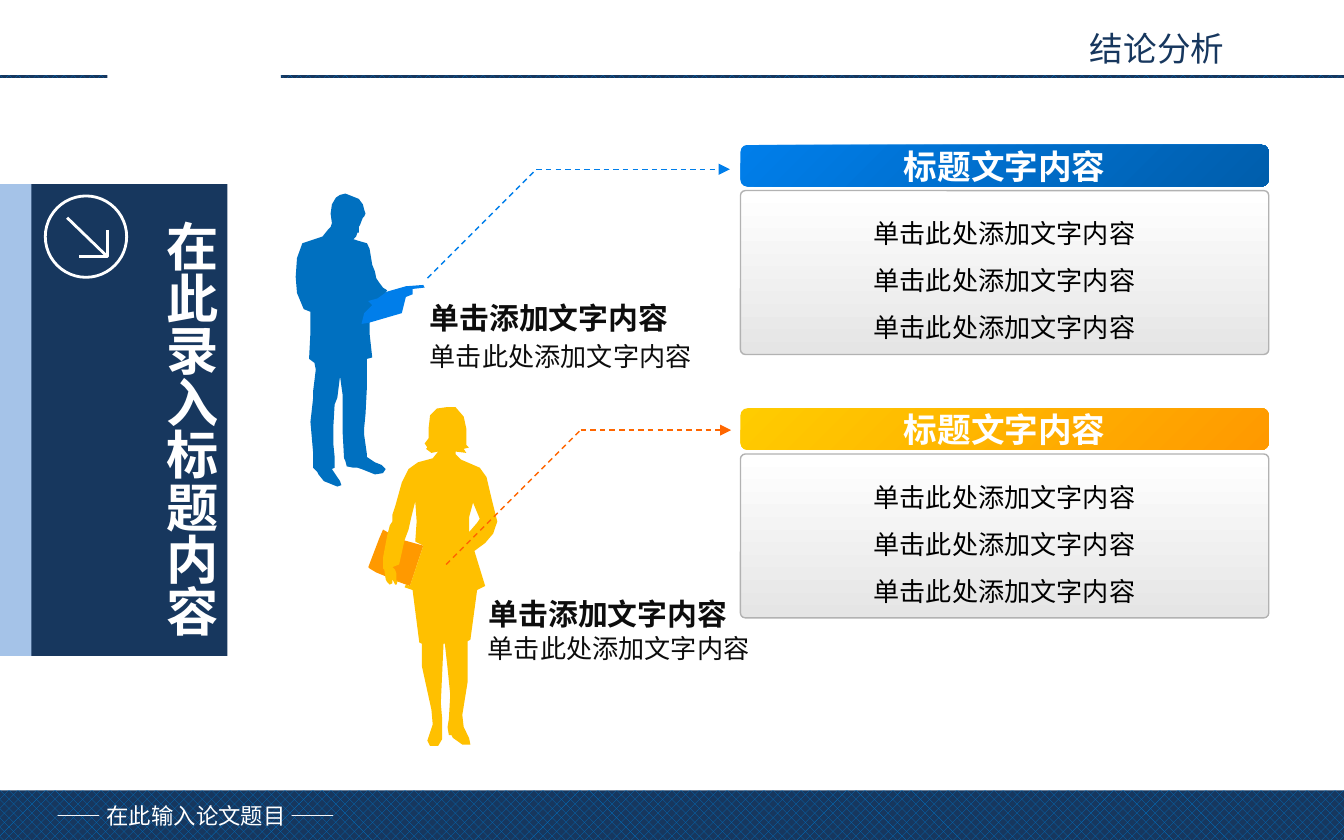
from lxml import etree
from pptx import Presentation
from pptx.dml.color import RGBColor
from pptx.enum.dml import MSO_LINE, MSO_PATTERN
from pptx.enum.shapes import MSO_CONNECTOR, MSO_SHAPE
from pptx.enum.text import PP_ALIGN
from pptx.oxml.ns import qn
from pptx.util import Pt

RECT, ROUND, OVAL = MSO_SHAPE.RECTANGLE, MSO_SHAPE.ROUNDED_RECTANGLE, MSO_SHAPE.OVAL
LEFT, CENTER = PP_ALIGN.LEFT, PP_ALIGN.CENTER
STRAIGHT, DASH, HALFTONE = MSO_CONNECTOR.STRAIGHT, MSO_LINE.DASH, MSO_PATTERN.PERCENT_50
SANS, ARIAL = "Noto Sans CJK SC", "Arial"

NAVY = RGBColor(0x17, 0x37, 0x5E)
BLUE = RGBColor(0x00, 0x70, 0xC0)
BRIGHT_BLUE = RGBColor(0x00, 0x7E, 0xEA)
DEEP_BLUE = RGBColor(0x00, 0x5E, 0xAC)
PALE_BLUE = RGBColor(0x55, 0x8E, 0xD5)
GOLD = RGBColor(0xFF, 0xC0, 0x00)
YELLOW = RGBColor(0xFF, 0xCC, 0x00)
AMBER = RGBColor(0xFF, 0x99, 0x00)
ORANGE = RGBColor(0xFF, 0x66, 0x00)
WHITE = RGBColor(0xFF, 0xFF, 0xFF)
LIGHT_GREY = RGBColor(0xE5, 0xE5, 0xE5)
GREY = RGBColor(0xB2, 0xB2, 0xB2)
INK = RGBColor(0x0D, 0x0D, 0x0D)
BLACK = RGBColor(0x00, 0x00, 0x00)

# Outlines are drawn on a grid of 0.72 pt.
GRID = Pt(0.72)
MAN = [
    (247, 152), (246, 159), (247, 166), (246, 169), (244, 171), (240, 176), (237, 177),
    (225, 181), (221, 192), (220, 206), (221, 218), (226, 230), (231, 232), (231, 247),
    (230, 267), (234, 270), (235, 275), (233, 291), (233, 296), (231, 314), (233, 337),
    (233, 348), (236, 351), (237, 353), (241, 358), (251, 362), (254, 361), (253, 358),
    (249, 352), (247, 349), (249, 348), (249, 340), (248, 330), (248, 318), (249, 301),
    (251, 296), (253, 280), (255, 294), (255, 301), (255, 322), (256, 341), (257, 343),
    (258, 347), (263, 348), (266, 348), (269, 349), (279, 353), (285, 352), (287, 349),
    (284, 346), (279, 344), (273, 340), (273, 338), (271, 324), (271, 318), (272, 308),
    (273, 288), (273, 267), (277, 266), (275, 248), (275, 240), (288, 216), (285, 214),
    (282, 210), (280, 207), (279, 202), (277, 197), (275, 185), (273, 181), (266, 179),
    (263, 178), (265, 176), (266, 173), (267, 173), (267, 169), (268, 167), (270, 162),
    (271, 161), (272, 159), (271, 156), (270, 152), (267, 148), (262, 146), (257, 144.5),
    (253, 145), (250, 147),
]
PAPER = [
    (275, 240), (299, 233), (302, 221), (307, 219), (307, 215), (316, 214), (315, 212),
    (302, 213), (288, 217), (281, 222), (274, 224), (277, 227), (271, 233), (269, 241),
]
WOMAN = [
    (309, 373), (306, 385), (304, 394), (301, 402), (297, 420), (292, 422), (294, 424),
    (295, 427), (295, 432), (298, 433), (296, 432), (295, 435), (294, 435), (292, 431),
    (292, 434), (290, 435), (288, 433), (287, 431), (286, 424), (285, 423), (285, 415),
    (288, 399), (290, 391), (292, 388), (292, 383), (294, 377), (299, 359), (304, 349),
    (311, 344), (322, 341), (326, 336), (321, 337), (317, 334), (318, 333), (316, 330),
    (319, 326), (319, 318), (320, 309), (325, 304), (332, 303), (339, 303), (345, 310),
    (347, 319), (347, 331), (349, 333), (345, 334), (347, 337), (339, 336), (339, 338),
    (343, 342), (357, 348), (362, 355), (366, 372), (370, 388), (367, 397), (361, 404),
    (353, 410), (361, 436), (355, 439), (350, 476), (348, 477), (348, 507), (344, 532),
    (345, 541), (349, 549), (350, 554), (344, 554), (337, 549), (336, 547), (334, 547),
    (333, 541), (334, 535), (335, 517), (333, 497), (331, 479), (330, 479), (328, 523),
    (329, 535), (329, 542), (329, 550), (326, 555), (320, 555), (318, 551), (322, 539),
    (321, 528), (314, 496), (314, 479), (312, 478), (307, 439), (301, 437), (302, 435),
    (305, 436), (315, 406), (309, 403), (310, 388),
]
ARM_GAP = [(352, 374), (349, 385), (349, 396), (355, 389), (357, 386)]
FOLDER = [(315, 406), (305, 436), (294, 432), (285, 428), (280, 426), (275, 423),
          (274, 422), (282, 401), (285, 394), (297, 401)]
ARROW_ICON = [[(50, 162), (79.5, 191)], [(59, 191), (79.5, 191), (79.5, 171)]]

PANEL_TITLE = "标题文字内容"
PANEL_LINES = ["单击此处添加文字内容"] * 3
CAPTION, SUBCAPTION = "单击添加文字内容", "单击此处添加文字内容"
PEOPLE = [
    dict(figures=[([MAN], BLUE), ([PAPER], BRIGHT_BLUE)],
         leader=[(229, 149), (287.3, 90.7), (391, 90.7)], leader_color=BRIGHT_BLUE,
         gradient=(BRIGHT_BLUE, DEEP_BLUE), caption=(223.2, 157), subcaption=(223.2, 178.6)),
    dict(figures=[([FOLDER], AMBER), ([WOMAN, ARM_GAP], GOLD)],
         leader=[(239, 302.4), (311, 230.4), (391.7, 230.4)], leader_color=ORANGE,
         gradient=(YELLOW, AMBER), caption=(254.9, 315.4), subcaption=(254.2, 335.5)),
]
BANDS = [(150.5, 40.3, 569.5, 1.4), (0, 40.3, 57.6, 1.4), (0, 423.4, 720, 26.6)]
PANEL_X, PANEL_W, PANEL_TOP, PANEL_PITCH = 396.7, 283, 77.6, 141.1


def add_box(kind, x, y, w, h, fill=None, line=None, width=0.75):
    """Add a preset shape without shadow."""
    s = shapes.add_shape(kind, Pt(x), Pt(y), Pt(w), Pt(h))
    return style(s, fill, line, width)


def style(s, fill=None, line=None, width=0.75):
    """Set the fill and outline of a shape; None leaves that part empty."""
    s.shadow.inherit = False
    if fill is None:
        s.fill.background()
    else:
        s.fill.solid()
        s.fill.fore_color.rgb = fill
    if line is None:
        s.line.fill.background()
    else:
        s.line.color.rgb = line
        s.line.width = Pt(width)
    return s


def add_outline(paths, closed=True):
    """Add one freeform made of one or more point lists."""
    fb = shapes.build_freeform(*paths[0][0], scale=GRID)
    for i, points in enumerate(paths):
        if i:
            fb.move_to(*points[0])
        fb.add_line_segments(points[1:], close=closed)
    return fb.convert_to_shape()


def set_gradient(s, colors, angle):
    """Fill a shape with two colours; the angle runs clockwise."""
    s.fill.gradient()
    s.fill.gradient_angle = 360 - angle
    for stop, color in zip(s.fill.gradient_stops, colors):
        stop.color.rgb = color


def write(s, lines, size, color, align=LEFT, bold=False, font=SANS, spacing=None, wrap=False):
    """Put lines of text into a shape."""
    tf = s.text_frame
    tf.word_wrap = wrap
    tf.text = "\n".join(lines)
    for p in tf.paragraphs:
        p.alignment = align
        if spacing:
            p.line_spacing = spacing
        for r in p.runs:
            r.font.name, r.font.size, r.font.bold = font, Pt(size), bold
            r.font.color.rgb = color
            etree.SubElement(r.font._element, qn("a:ea"), typeface=SANS)


def add_text(x, y, w, h, text, size, color, **options):
    """Add a text box holding one line."""
    s = shapes.add_textbox(Pt(x), Pt(y), Pt(w), Pt(h))
    write(s, [text], size, color, **options)
    return s


def add_leader(points, color):
    """Add a dashed leader that ends in an arrowhead."""
    for start, end in zip(points, points[1:]):
        s = shapes.add_connector(STRAIGHT, *map(Pt, start + end))
        s.line.color.rgb, s.line.width, s.line.dash_style = color, Pt(0.75), DASH
        if end == points[-1]:
            etree.SubElement(s.line._ln, qn("a:tailEnd"), type="triangle")
        etree.SubElement(s._element.spPr, qn("a:effectLst"))


def add_panel(y, gradient):
    """Add a white panel with a coloured heading bar."""
    body = add_box(ROUND, PANEL_X, y + 24.5, PANEL_W, 87.8, WHITE, GREY)
    body.adjustments[0] = 0.03
    set_gradient(body, (WHITE, LIGHT_GREY), 90)
    write(body, PANEL_LINES, 14, BLACK, CENTER, spacing=1.5)
    bar = add_box(ROUND, PANEL_X, y, PANEL_W, 22.3, WHITE)
    set_gradient(bar, gradient, 45)
    write(bar, [PANEL_TITLE], 18, WHITE, CENTER, bold=True, font=ARIAL)


prs = Presentation()
prs.slide_width, prs.slide_height = Pt(720), Pt(450)
shapes = prs.slides.add_slide(prs.slide_layouts[6]).shapes

for band in BANDS:
    s = add_box(RECT, *band)
    s.fill.patterned()
    s.fill.pattern = HALFTONE
    s.fill.fore_color.rgb, s.fill.back_color.rgb = BLUE, NAVY
add_text(18, 426.2, 174.2, 21.6, "—— 在此输入论文题目 ——", 12, WHITE, align=CENTER)
add_text(537.8, 11.5, 164.2, 28.8, "结论分析", 18, NAVY, align=CENTER, wrap=True)

for i, person in enumerate(PEOPLE):
    for paths, color in person["figures"]:
        style(add_outline(paths), color)
    add_leader(person["leader"], person["leader_color"])
    add_panel(PANEL_TOP + i * PANEL_PITCH, person["gradient"])
    add_text(*person["caption"], 160, 26.6, CAPTION, 16, INK, bold=True, wrap=True)
    add_text(*person["subcaption"], 161, 24.5, SUBCAPTION, 14, INK, wrap=True)

side = add_box(RECT, 0, 98.7, 70.6, 252.7, PALE_BLUE)
etree.SubElement(side.fill._xPr.find(".//" + qn("a:srgbClr")), qn("a:alpha"), val="53000")
add_box(RECT, 16.9, 98.7, 105, 252.7, NAVY)
s = add_text(74.2, 110.9, 48.2, 233.3, "在此录入标题内容", 28, WHITE, bold=True)
s.text_frame._txBody.bodyPr.set("vert", "eaVert")
add_box(OVAL, 24.3, 105, 43.6, 43.6, line=WHITE, width=1.5)
style(add_outline(ARROW_ICON, closed=False), line=WHITE, width=1.5)

prs.save("out.pptx")
